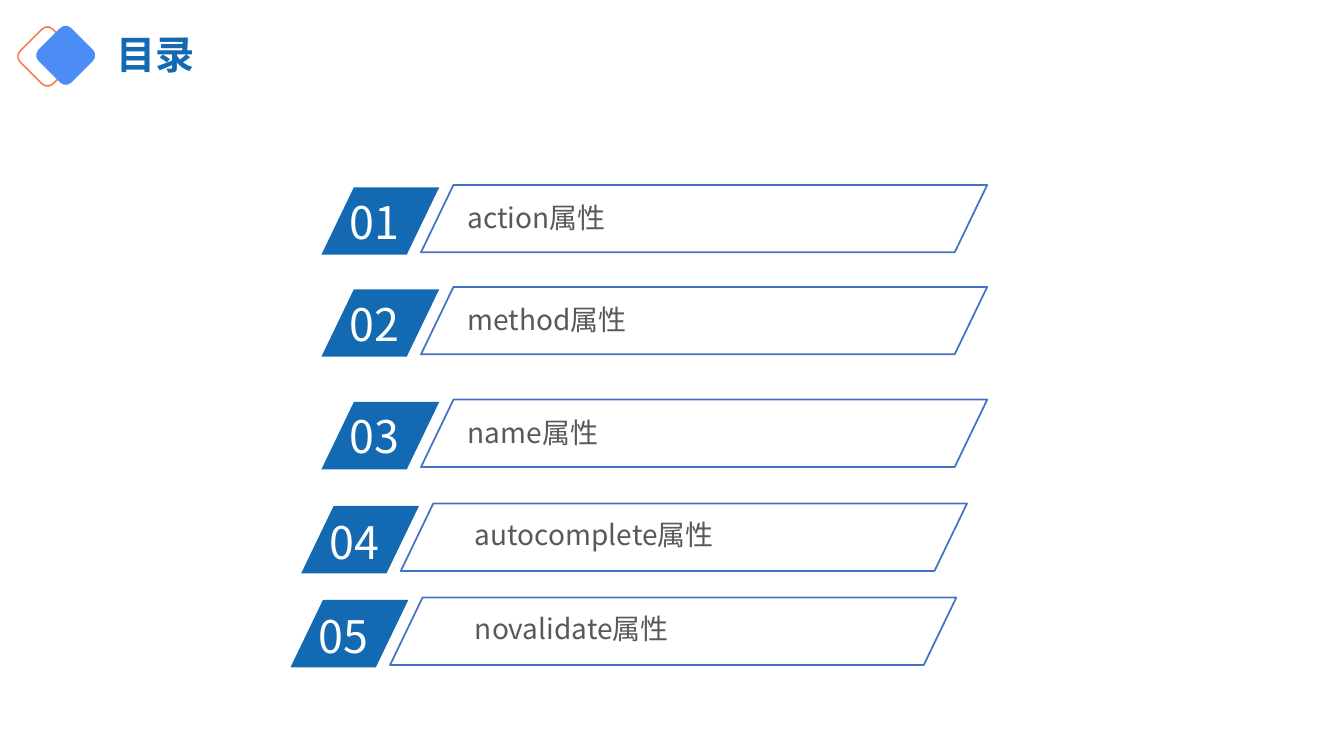
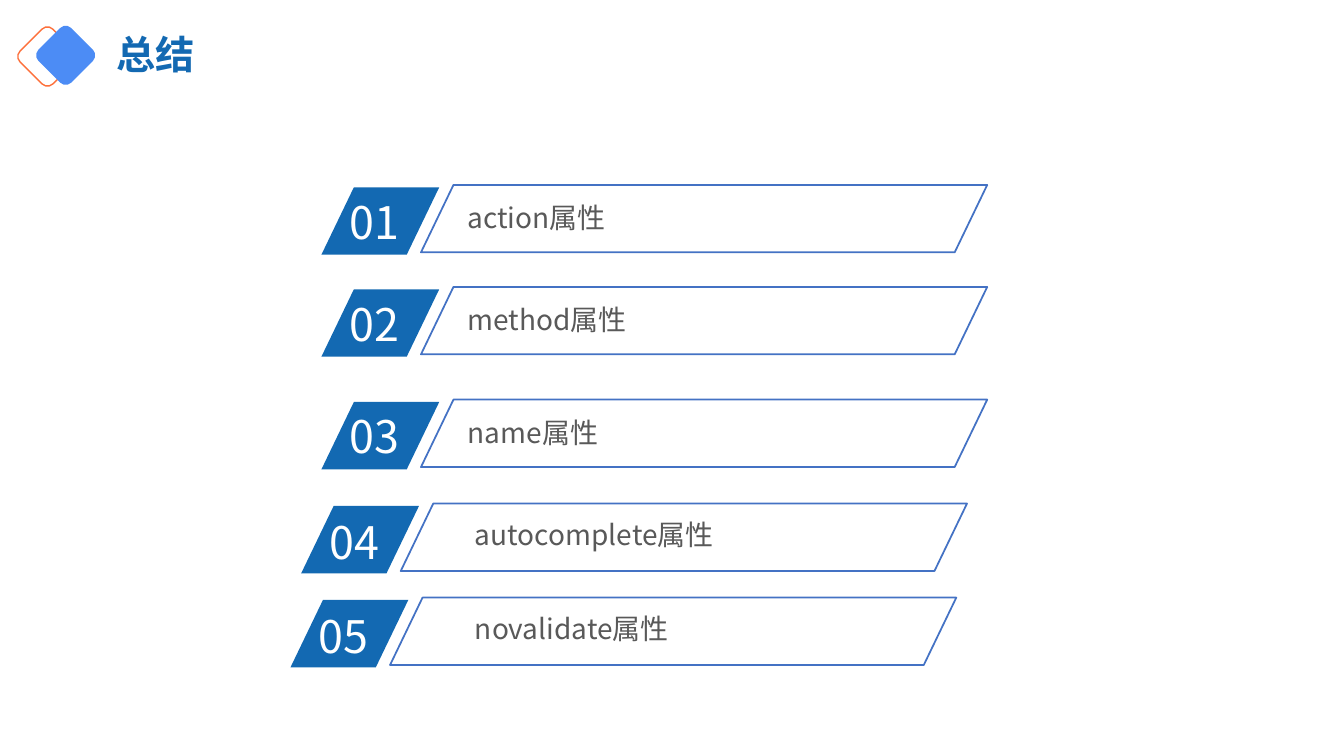
from pptx import Presentation
from pptx.dml.color import RGBColor
from pptx.enum.shapes import MSO_SHAPE as Geo
from pptx.enum.text import MSO_ANCHOR as Anchor, MSO_AUTO_SIZE as Fit, PP_ALIGN as Align
from pptx.oxml.ns import qn
from pptx.util import Cm, Pt
from lxml.etree import SubElement

# Colours and font
NAVY = RGBColor(0x13, 0x69, 0xB2)
BLUE = RGBColor(0x44, 0x72, 0xC4)
SKY = RGBColor(0x4C, 0x8C, 0xF5)
ORANGE = RGBColor(0xFD, 0x70, 0x3B)
GREY = RGBColor(0x59, 0x59, 0x59)
WHITE = RGBColor(0xFF, 0xFF, 0xFF)
FONT = "Noto Sans CJK SC"

TITLES = ["目录", "总结"]
# Badge left and top (cm), label
ROWS = [
    (8.1, 4.72, "action属性"),
    (8.1, 7.29, "method属性"),
    (8.1, 10.13, "name属性"),
    (7.59, 12.75, "autocomplete属性"),
    (7.32, 15.12, "novalidate属性"),
]
LISTED = 3  # rows whose label is a body placeholder
SLANT = 0.482


class Deck:
    def __init__(self):
        self.prs = Presentation()
        self.prs.slide_width, self.prs.slide_height = Cm(33.87), Cm(19.05)
        self.slide = None

    def page(self, title):
        """Start a slide with its title and corner mark."""
        self.slide = self.prs.slides.add_slide(self.prs.slide_layouts[4])
        head = self.place(self.slide.shapes.title, 2.69, 0.43, 13.03, 2.01)
        self.label(head, title, 28, NAVY, bold=True, anchor=Anchor.MIDDLE)
        head.text_frame.paragraphs[0].line_spacing = 0.9
        self.shape(Geo.ROUNDED_RECTANGLE, 0.61, 0.84, 1.17, 1.17, line=ORANGE, turn=45)
        self.shape(Geo.ROUNDED_RECTANGLE, 1.07, 0.81, 1.17, 1.17, fill=SKY, turn=45)

    def place(self, item, x, y, w, h):
        item.left, item.top, item.width, item.height = Cm(x), Cm(y), Cm(w), Cm(h)
        return item

    def shape(self, kind, x, y, w, h, fill=None, line=None, width=1, turn=0, adj=None):
        item = self.slide.shapes.add_shape(kind, Cm(x), Cm(y), Cm(w), Cm(h))
        item.shadow.inherit = False
        item.rotation = turn
        if adj is not None:
            item.adjustments[0] = adj
        if fill is None:
            item.fill.background()
        else:
            item.fill.solid()
            item.fill.fore_color.rgb = fill
        if line is None:
            item.line.fill.background()
        else:
            item.line.color.rgb = line
            item.line.width = Pt(width)

    def label(self, item, text, size, color, bold=False, anchor=Anchor.TOP):
        frame = item.text_frame
        frame.text = text
        frame.word_wrap = True
        frame.auto_size = Fit.NONE
        frame.vertical_anchor = anchor
        par = frame.paragraphs[0]
        par.alignment = Align.LEFT
        run = par.runs[0]
        run.font.name, run.font.size, run.font.bold = FONT, Pt(size), bold
        run.font.color.rgb = color
        SubElement(run._r.get_or_add_rPr(), qn("a:ea")).set("typeface", FONT)

    def text(self, x, y, w, h, text, size, color):
        box = self.slide.shapes.add_textbox(Cm(x), Cm(y), Cm(w), Cm(h))
        self.label(box, text, size, color)
        return box

    def bullet(self, item, x, y, w, h, text):
        """Fill a body placeholder with one unmarked list line."""
        self.label(self.place(item, x, y, w, h), text, 20, GREY)
        par = item.text_frame.paragraphs[0]
        par.space_before = Pt(10)
        props = par._p.get_or_add_pPr()
        props.set("marL", "0")
        props.set("indent", "0")
        SubElement(props, qn("a:buNone"))

    def row(self, num, x, y):
        """Draw a numbered badge and the frame beside it."""
        self.shape(Geo.PARALLELOGRAM, x, y, 2.97, 1.7, fill=NAVY, adj=SLANT)
        drop = 0.05 if num <= LISTED else 0.09
        self.text(x + 0.46, y + drop, 2.84, 1.62, f"{num:02d}", 32, WHITE)
        self.shape(Geo.PARALLELOGRAM, x + 2.51, y - 0.06, 14.27, 1.7,
                   line=BLUE, width=1.25, adj=SLANT)

    def agenda(self):
        slots = list(self.slide.placeholders)[1:]
        for num, (x, y, label) in enumerate(ROWS, 1):
            self.row(num, x, y)
            if num <= LISTED:
                self.bullet(slots[num - 1], 11.53, y + 0.2, 10.34, 1.45, label)
            else:
                box = self.text(11.79, y + 0.2, 10.46, 1.2, label, 20, GREY)
                frame = box.text_frame
                frame.margin_left = frame.margin_right = Cm(0.18)
                frame.margin_top = frame.margin_bottom = Cm(0.1)
        # Drop the placeholders left empty
        for slot in slots[LISTED:]:
            slot.element.getparent().remove(slot.element)


def main():
    deck = Deck()
    for title in TITLES:
        deck.page(title)
        deck.agenda()
    deck.prs.save("out.pptx")


if __name__ == "__main__":
    main()
